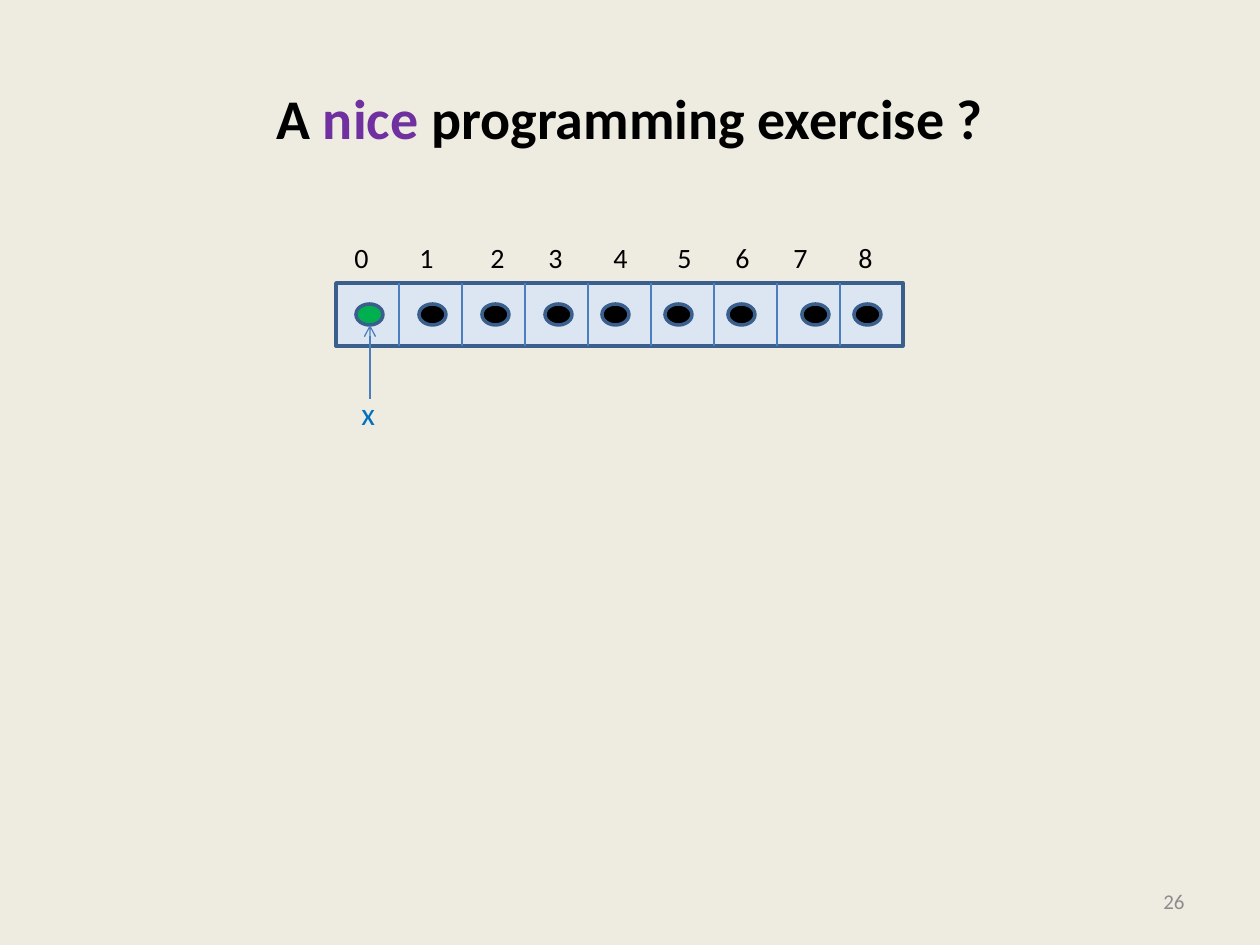
import pptx
import pptx.dml.color
import pptx.enum.shapes
import pptx.enum.text
import pptx.oxml.ns
import pptx.util
import lxml.etree

THEME = {
    "font": "Calibri",
    "background": "EEECE1", "cell": "DCE6F2", "outline": "3A5F8C", "rule": "4B7EBC",
    "text": "000000", "accent": "7030A0", "pointer": "0070C0", "muted": "8C8C8C",
    "dot": "000000", "current": "00B050",
    "title_size": 32, "pointer_size": 18, "index_size": 16, "number_size": 12,
}
PX = 914400 / 126
ALIGN = pptx.enum.text.PP_ALIGN
ANCHOR = pptx.enum.text.MSO_ANCHOR
SHAPE = pptx.enum.shapes.MSO_SHAPE
qn = pptx.oxml.ns.qn


def px(*lengths):
    return [pptx.util.Emu(round(length * PX)) for length in lengths]


def rgb(name):
    return pptx.dml.color.RGBColor.from_string(THEME[name])


deck = pptx.Presentation()
deck.slide_width, deck.slide_height = px(1260, 945)
slide = deck.slides.add_slide(deck.slide_layouts[6])
slide.background.fill.solid()
slide.background.fill.fore_color.rgb = rgb("background")

cell, array_left, array_top = 63, 336, 283
dot_lefts = [356, 419, 482, 545, 602, 665, 728, 802, 854]
index_lefts = [355, 420, 491, 549, 614, 678, 736, 794, 859]

outlined = [(SHAPE.RECTANGLE, array_left, array_top, 9 * cell, cell, "cell")]
for i, left in enumerate(dot_lefts):
    outlined.append((SHAPE.OVAL, left, 304, 27, 21, "dot" if i else "current"))
dividers = [(array_left + i * cell, array_top, array_top + cell) for i in range(1, 9)]
pointer_line = (370, 399, 325)

for kind, left, top, width, height, fill in outlined:
    part = slide.shapes.add_shape(kind, *px(left, top, width, height))
    part.shadow.inherit = False
    part.fill.solid()
    part.fill.fore_color.rgb = rgb(fill)
    part.line.color.rgb = rgb("outline")
    part.line.width = pptx.util.Pt(2)

for x, start, end in dividers + [pointer_line]:
    rule = slide.shapes.add_connector(
        pptx.enum.shapes.MSO_CONNECTOR.STRAIGHT, *px(x, start, x, end))
    rule.line.color.rgb = rgb("rule")
    rule.line.width = pptx.util.Pt(0.75)
    lxml.etree.SubElement(rule._element.spPr, qn("a:effectLst"))
    if (x, start, end) == pointer_line:
        lxml.etree.SubElement(rule.line._get_or_add_ln(), qn("a:tailEnd"), type="arrow")

labels = [
    ([("A ", "text"), ("nice", "accent"), (" programming exercise ?", "text")],
     (63, 38, 1134, 158), "title_size", ALIGN.CENTER, ANCHOR.MIDDLE, True),
    ([("\t".join(str(i) for i in range(9)), "text")],
     (342, 234, 553, 50), "index_size", ALIGN.LEFT, ANCHOR.TOP, False),
    ([("x", "pointer")],
     (349, 388, 39, 50), "pointer_size", ALIGN.LEFT, ANCHOR.TOP, False),
    ([("26", "muted")],
     (903, 876, 294, 50), "number_size", ALIGN.RIGHT, ANCHOR.MIDDLE, False),
]
for runs, box, size, align, anchor, bold in labels:
    frame = slide.shapes.add_textbox(*px(*box)).text_frame
    frame.word_wrap = True
    frame.vertical_anchor = anchor
    paragraph = frame.paragraphs[0]
    paragraph.alignment = align
    paragraph.font.name = THEME["font"]
    paragraph.font.size = pptx.util.Pt(THEME[size])
    paragraph.font.bold = bold
    for words, color in runs:
        run = paragraph.add_run()
        run.text = words
        run.font.color.rgb = rgb(color)
    if size == "index_size":
        stops = lxml.etree.Element(qn("a:tabLst"))
        for stop in px(*[left - index_lefts[0] for left in index_lefts[1:]]):
            lxml.etree.SubElement(stops, qn("a:tab"), pos=str(int(stop)), algn="l")
        paragraph._p.get_or_add_pPr().insert(0, stops)

deck.save("out.pptx")
